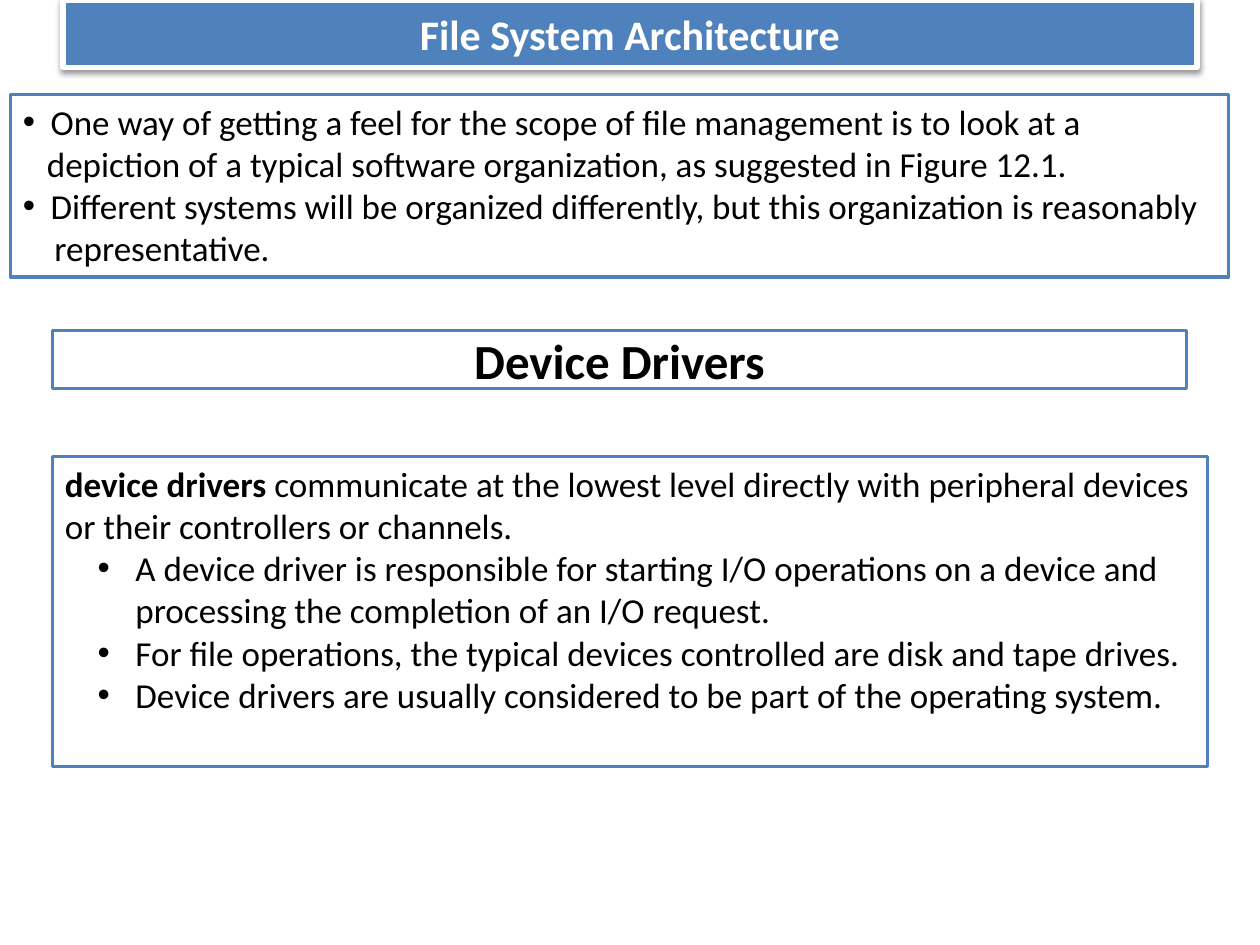
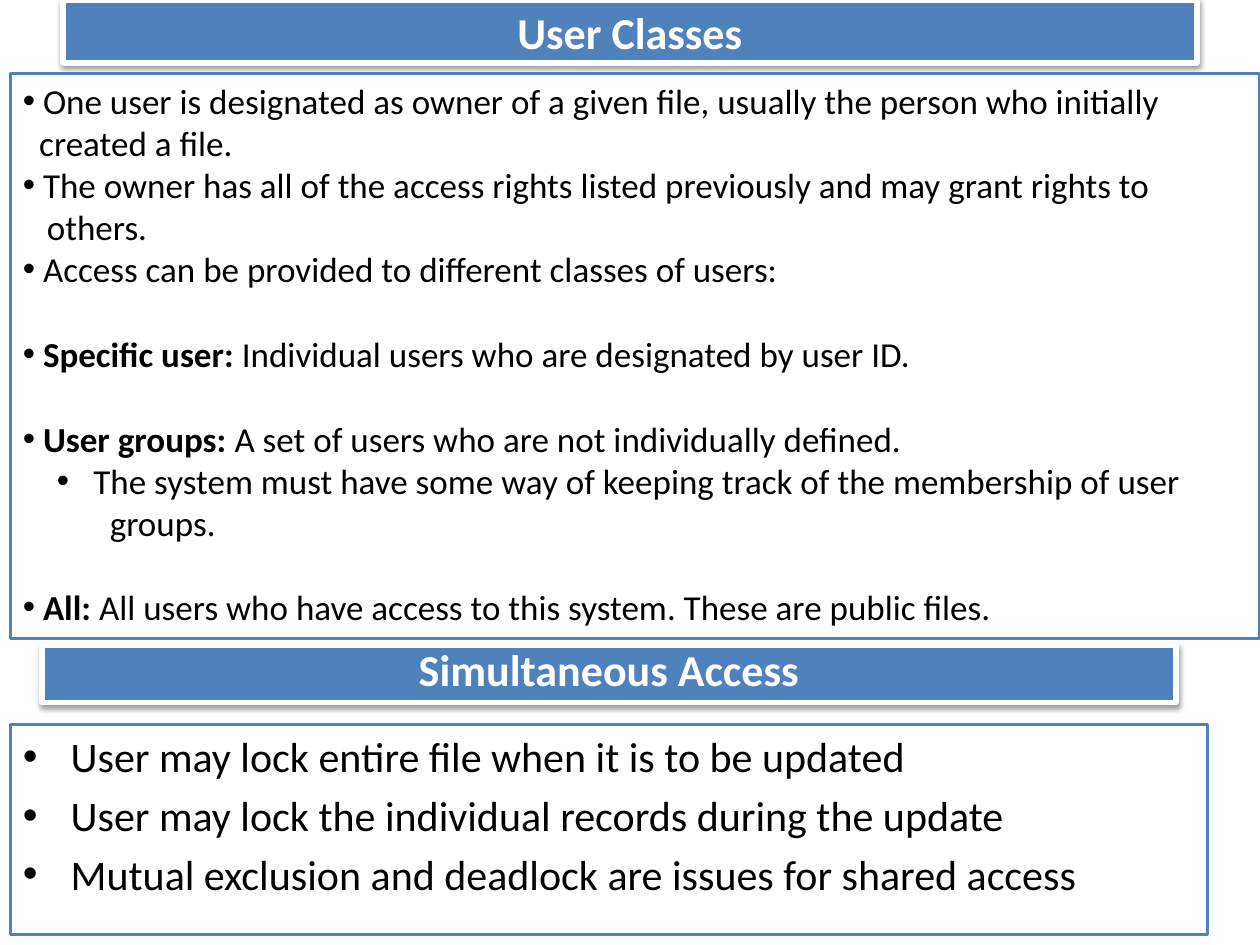
import pptx
import pptx.dml.color
import pptx.enum.shapes
import pptx.enum.text
import pptx.oxml
import pptx.oxml.ns
import pptx.util

# Shared look
BLUE, WHITE, BLACK = "4F81BD", "FFFFFF", "000000"
BAND = dict(fill=BLUE, line=WHITE, weight=3, ink=WHITE, shadow=True)
PANEL = dict(fill=WHITE, line=BLUE, weight=2, ink=BLACK, shadow=False)
LINE_GAP = 24.4  # one line of 20-point text

deck = pptx.Presentation()
deck.slide_width = pptx.util.Inches(10)
deck.slide_height = pptx.util.Inches(7.5)
COLUMN = deck.slide_width / 120
ROW = deck.slide_height / 90


def color(hex_string):
    return pptx.dml.color.RGBColor.from_string(hex_string)


def add_box(page, grid, look, paragraphs, size, title=False, spacing=None):
    """Each paragraph is (bold lead, plain text, bullet at, text at, space before)."""
    left, top, width, height = grid
    box = page.shapes.add_shape(
        pptx.enum.shapes.MSO_SHAPE.RECTANGLE,
        round(left * COLUMN), round(top * ROW),
        round(width * COLUMN), round(height * ROW))
    box.fill.solid()
    box.fill.fore_color.rgb = color(look["fill"])
    box.line.color.rgb = color(look["line"])
    box.line.width = pptx.util.Pt(look["weight"])
    box.shadow.inherit = False
    if look["shadow"]:
        effects = box.element.spPr.find(pptx.oxml.ns.qn("a:effectLst"))
        effects.append(pptx.oxml.parse_xml(
            f'<a:outerShdw {pptx.oxml.ns.nsdecls("a")} blurRad="40000" dist="20000" '
            f'dir="5400000" rotWithShape="0"><a:srgbClr val="{BLACK}">'
            '<a:alpha val="38000"/></a:srgbClr></a:outerShdw>'))

    frame = box.text_frame
    frame.word_wrap = True
    anchors = pptx.enum.text.MSO_ANCHOR
    frame.vertical_anchor = anchors.MIDDLE if title else anchors.TOP
    align = pptx.enum.text.PP_ALIGN
    for index, (lead, text, bullet_at, text_at, before) in enumerate(paragraphs):
        para = frame.paragraphs[0] if index == 0 else frame.add_paragraph()
        layout = dict(alignment=align.CENTER if title else align.LEFT,
                      space_before=pptx.util.Pt(before), line_spacing=spacing)
        for name, value in layout.items():
            setattr(para, name, value)
        properties = para._p.get_or_add_pPr()
        first = text_at if bullet_at is None else bullet_at
        properties.set("marL", str(pptx.util.Inches(text_at)))
        properties.set("indent", str(pptx.util.Inches(first - text_at)))
        if bullet_at is not None:
            for tag in ('buFont typeface="Arial"', 'buChar char="•"'):
                properties.append(pptx.oxml.parse_xml(
                    f'<a:{tag} {pptx.oxml.ns.nsdecls("a")}/>'))
        for words, bold in ((lead, True), (text, False)):
            if words:
                span = para.add_run()
                span.text = words
                for name, value in dict(name="Calibri", size=pptx.util.Pt(size),
                                        bold=bold).items():
                    setattr(span.font, name, value)
                span.font.color.rgb = color(look["ink"])


blank = deck.slide_layouts[6]

# Slide 1: file system architecture and device drivers
page = deck.slides.add_slide(blank)
architecture = [
    ("", "One way of getting a feel for the scope of file management is to look at a", 0, 0.22, 0),
    ("", "depiction of a typical software organization, as suggested in Figure 12.1.", None, 0.19, 0),
    ("", "Different systems will be organized differently, but this organization is reasonably",
     0, 0.22, 0),
    ("", "representative.", None, 0.25, 0),
]
drivers = [
    ("device drivers ", "communicate at the lowest level directly with peripheral devices "
     "or their controllers or channels.", None, 0, 0),
]
for duty in (
    "A device driver is responsible for starting I/O operations on a device and "
    "processing the completion of an I/O request.",
    "For file operations, the typical devices controlled are disk and tape drives.",
    "Device drivers are usually considered to be part of the operating system.",
):
    drivers.append(("", duty, 0.26, 0.56, 0))

add_box(page, (6, 0, 108, 6.4), BAND,
        [("File System Architecture", "", None, 0, 0)], 24, title=True)
add_box(page, (1, 9, 116, 17.4), PANEL, architecture, 20)
add_box(page, (5, 31.5, 108, 5.5), PANEL,
        [("Device Drivers", "", None, 0, 0)], 28, title=True)
add_box(page, (5, 43.5, 110, 29.5), PANEL, drivers, 20)

# Slide 2: user classes and simultaneous access
page = deck.slides.add_slide(blank)
classes = [
    ("", "One user is designated as owner of a given file, usually the person who initially",
     0, 0.16, 0),
    ("", "created a file.", None, 0.13, 0),
    ("", "The owner has all of the access rights listed previously and may grant rights to",
     0, 0.16, 0),
    ("", "others.", None, 0.19, 0),
    ("", "Access can be provided to different classes of users:", 0, 0.16, 0),
    ("Specific user: ", "Individual users who are designated by user ID.", 0, 0.16, LINE_GAP),
    ("User groups: ", "A set of users who are not individually defined.", 0, 0.16, LINE_GAP),
    ("", "The system must have some way of keeping track of the membership of user",
     0.27, 0.56, 0),
    ("", "groups.", None, 0.69, 0),
    ("All: ", "All users who have access to this system. These are public files.",
     0, 0.16, LINE_GAP),
]
locking = [("", rule, 0, 0.38, 4.8) for rule in (
    "User may lock entire file when it is to be updated",
    "User may lock the individual records during the update",
    "Mutual exclusion and deadlock are issues for shared access",
)]

add_box(page, (6, 0, 108, 6), BAND,
        [("User Classes", "", None, 0, 0)], 25.2, title=True)
add_box(page, (1, 7, 119, 53.8), PANEL, classes, 20)
add_box(page, (4, 61.5, 108, 5.4), BAND,
        [("Simultaneous Access", "", None, 0, 0)], 25.2, title=True, spacing=0.8)
add_box(page, (1, 69, 114, 20), PANEL, locking, 24)

deck.save("out.pptx")
